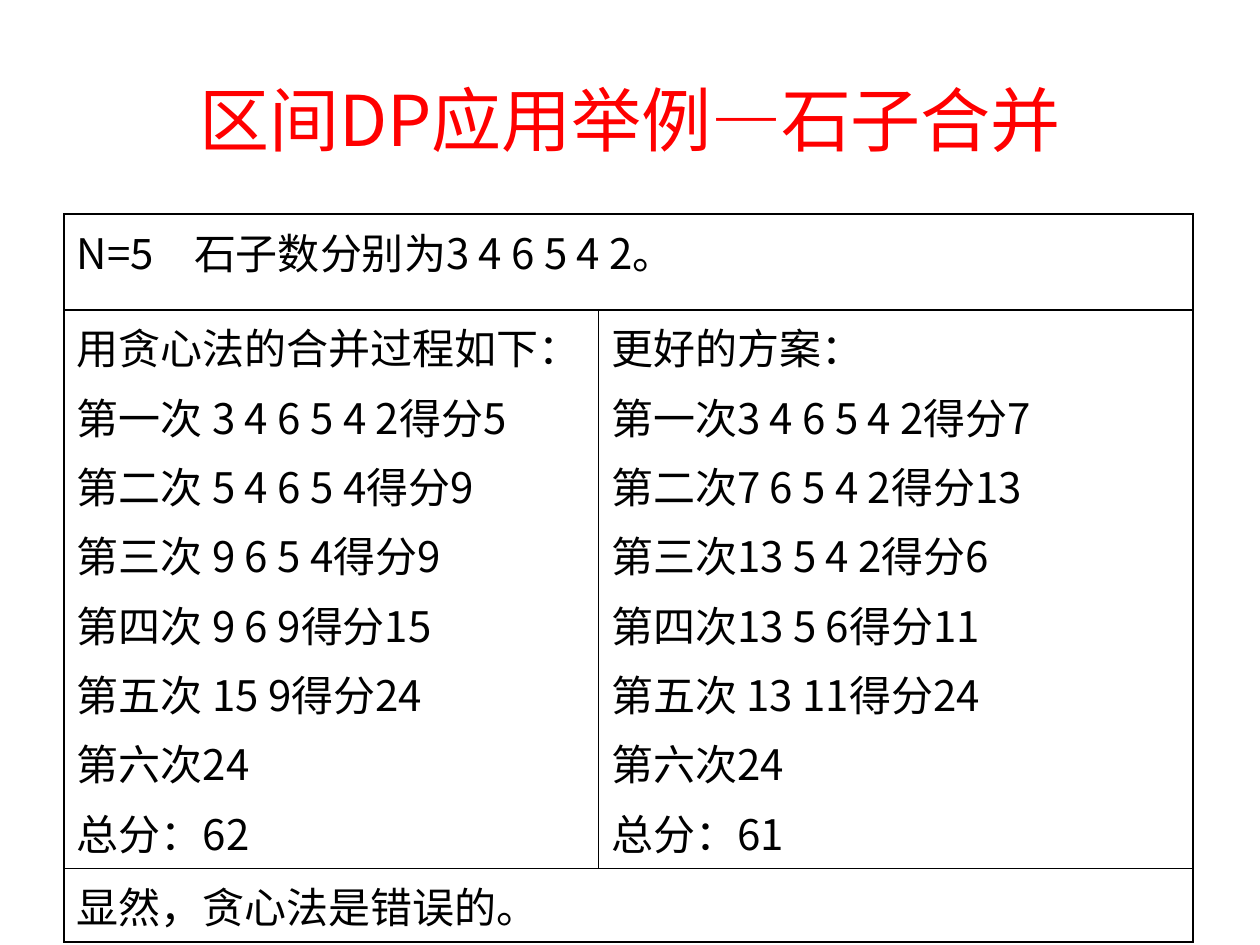
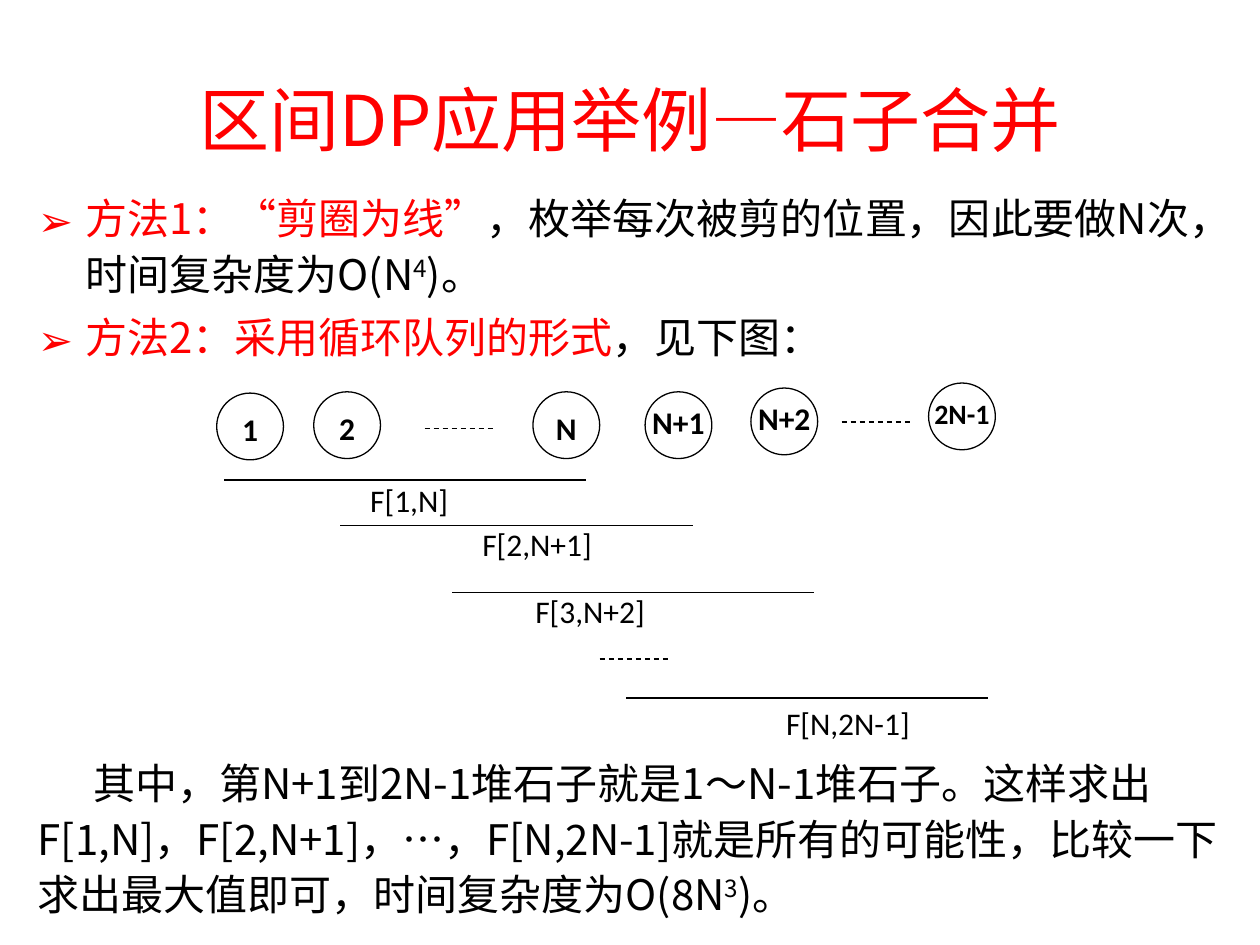
from dataclasses import dataclass

from lxml.etree import SubElement
from pptx import Presentation
from pptx.dml.color import RGBColor
from pptx.enum.dml import MSO_LINE
from pptx.enum.shapes import MSO_CONNECTOR, MSO_SHAPE
from pptx.enum.text import MSO_ANCHOR as ANCHOR, MSO_AUTO_SIZE, PP_ALIGN as ALIGN
from pptx.oxml.ns import qn
from pptx.util import Pt

SCALE = 9144
HEADING = "区间DP应用举例—石子合并"
PREMISE = "N=5\t石子数分别为3 4 6 5 4 2。"
GREEDY = [
    "用贪心法的合并过程如下：",
    "第一次 3 4 6 5 4 2得分5",
    "第二次 5 4 6 5 4得分9",
    "第三次 9 6 5 4得分9",
    "第四次 9 6 9得分15",
    "第五次 15 9得分24",
    "第六次24",
    "总分：62",
]
BETTER = [
    "更好的方案：",
    "第一次3 4 6 5 4 2得分7",
    "第二次7 6 5 4 2得分13",
    "第三次13 5 4 2得分6",
    "第四次13 5 6得分11",
    "第五次 13 11得分24",
    "第六次24",
    "总分：61",
]
VERDICT = "显然，贪心法是错误的。"


@dataclass(frozen=True)
class Theme:
    """Colours, fonts and type sizes in points."""

    ink: RGBColor = RGBColor(0, 0, 0)
    accent: RGBColor = RGBColor(255, 0, 0)
    paper: RGBColor = RGBColor(255, 255, 255)
    text_face: str = "Noto Sans CJK SC"
    diagram_face: str = "Calibri"
    title: int = 40
    body: int = 24
    label: int = 18
    small_label: int = 16
    gap: float = 4.8
    leading: float = 1.1
    rule: float = 0.75
    border: float = 1


def px(length):
    """Turn whole pixels into EMU."""
    return length * SCALE


class Deck:
    """Holds the theme and the current slide, and draws each element."""

    def __init__(self, theme):
        """Start an empty deck."""
        self.theme = theme
        self.file = Presentation()
        self.file.slide_width, self.file.slide_height = px(1000), px(750)
        self.slide = None

    def style(self, paragraph, size, face=None, colour=None, bold=False):
        """Set the font that all runs of a paragraph share."""
        font = paragraph.font
        font.size, font.bold = Pt(size), bold
        font.name = face or self.theme.text_face
        font.color.rgb = colour or self.theme.ink
        latin = font._element.find(qn("a:latin"))
        east_asian = SubElement(font._element, qn("a:ea"), typeface=font.name)
        latin.addnext(east_asian)

    def place(self, holder, x, y, width, height):
        """Move a placeholder and keep its text at full size."""
        holder.left, holder.top = px(x), px(y)
        holder.width, holder.height = px(width), px(height)
        holder.text_frame.auto_size = MSO_AUTO_SIZE.NONE
        return holder.text_frame

    def start(self, layout, heading):
        """Add a slide with its title."""
        self.slide = self.file.slides.add_slide(self.file.slide_layouts[layout])
        frame = self.place(self.slide.shapes.title, 50, 31, 900, 126)
        frame.text, frame.vertical_anchor = heading, ANCHOR.MIDDLE
        frame.paragraphs[0].alignment = ALIGN.CENTER
        self.style(frame.paragraphs[0], self.theme.title, colour=self.theme.accent)

    def body(self, x, y, width, height, items):
        """Fill the body placeholder from (bullet, gap, runs) items."""
        frame = self.place(self.slide.placeholders[1], x, y, width, height)
        for index, (bullet, gap, runs) in enumerate(items):
            line = frame.add_paragraph() if index else frame.paragraphs[0]
            line.line_spacing = self.theme.leading
            line.space_before = Pt(gap)
            self.mark(line, bullet)
            self.style(line, self.theme.body)
            for words, colour, raised in runs:
                run = line.add_run()
                run.text, run.font.color.rgb = words, colour
                if raised:
                    run.font._element.set("baseline", "30000")

    def mark(self, line, bullet):
        """Give a paragraph a hanging bullet, or a first-line indent."""
        props = line._p.get_or_add_pPr()
        margin, indent = (38, -38) if bullet else (0, 44)
        props.set("marL", str(px(margin)))
        props.set("indent", str(px(indent)))
        if bullet:
            colour = SubElement(props, qn("a:buClr"))
            SubElement(colour, qn("a:srgbClr"), val=str(self.theme.accent))
            SubElement(props, qn("a:buFont"), typeface=self.theme.text_face)
            SubElement(props, qn("a:buChar"), char=bullet)
        else:
            SubElement(props, qn("a:buNone"))

    def grid(self, x, y, widths, heights, rows):
        """Draw a bordered table; a row of one entry spans every column."""
        table = self.slide.shapes.add_table(
            len(heights), len(widths), px(x), px(y), px(sum(widths)), px(sum(heights))
        ).table
        table.first_row = table.horz_banding = False
        for column, width in zip(table.columns, widths):
            column.width = px(width)
        for index, (height, entries) in enumerate(zip(heights, rows)):
            table.rows[index].height = px(height)
            if len(entries) < len(widths):
                table.cell(index, 0).merge(table.cell(index, len(widths) - 1))
            for column, lines in enumerate(entries):
                self.fill_cell(table.cell(index, column), lines)
        for cell in table.iter_cells():
            self.frame_cell(cell)

    def fill_cell(self, cell, lines):
        """Write the lines of one cell, with a stop for any tab."""
        cell.text = "\n".join(lines)
        for index, line in enumerate(cell.text_frame.paragraphs):
            line.space_before = Pt(self.theme.gap if index else 0)
            if "\t" in line.text:
                stops = SubElement(line._p.get_or_add_pPr(), qn("a:tabLst"))
                SubElement(stops, qn("a:tab"), pos=str(px(93)), algn="l")
            self.style(line, self.theme.body)

    def frame_cell(self, cell):
        """Clear the fill of a cell and border all its sides."""
        cell.fill.background()
        props = cell._tc.get_or_add_tcPr()
        for index, side in enumerate("LRTB"):
            border = SubElement(props, qn(f"a:ln{side}"), w=str(Pt(self.theme.border)))
            fill = SubElement(border, qn("a:solidFill"))
            SubElement(fill, qn("a:srgbClr"), val=str(self.theme.ink))
            props.insert(index, border)

    def pile(self, x, y, words, size):
        """Draw a circle with a bold label, a long one set slightly higher."""
        circle = self.slide.shapes.add_shape(
            MSO_SHAPE.OVAL, px(x), px(y), px(53), px(53)
        )
        circle.shadow.inherit = False
        circle.fill.solid()
        circle.fill.fore_color.rgb = self.theme.paper
        circle.line.color.rgb = self.theme.ink
        circle.line.width = Pt(self.theme.rule)
        frame = circle.text_frame
        frame.text, frame.word_wrap = words, False
        frame.vertical_anchor = ANCHOR.MIDDLE
        frame.margin_left = frame.margin_right = 0
        top, bottom = (4, 0) if len(words) == 1 else (0, 5)
        frame.margin_top, frame.margin_bottom = px(top), px(bottom)
        frame.paragraphs[0].alignment = ALIGN.CENTER
        self.style(frame.paragraphs[0], size, self.theme.diagram_face, bold=True)

    def rule(self, x, y, length, dashed=False):
        """Draw a level line."""
        line = self.slide.shapes.add_connector(
            MSO_CONNECTOR.STRAIGHT, px(x), px(y), px(x + length), px(y)
        )
        line.line.color.rgb = self.theme.ink
        line.line.width = Pt(self.theme.rule)
        if dashed:
            line.line.dash_style = MSO_LINE.DASH
        SubElement(line._element.spPr, qn("a:effectLst"))

    def label(self, x, y, words):
        """Write a diagram label."""
        frame = self.slide.shapes.add_textbox(px(x), px(y), px(124), px(40)).text_frame
        frame.text, frame.word_wrap = words, True
        self.style(frame.paragraphs[0], self.theme.label, self.theme.diagram_face)


def greedy_slide(deck):
    """Compare the greedy merge with a better one."""
    deck.start(5, HEADING)
    rows = [[[PREMISE]], [GREEDY, BETTER], [[VERDICT]]]
    deck.grid(51, 170, [424, 472], [76, 421, 51], rows)


def methods_slide(deck):
    """Show the two ways to handle the circle of piles."""
    theme = deck.theme
    ink, accent = theme.ink, theme.accent
    deck.start(1, HEADING)
    cutting = [
        ("方法1：“剪圈为线”", accent, False),
        ("，枚举每次被剪的位置，因此要做N次，时间复杂度为O(N", ink, False),
        ("4", ink, True),
        (")。", ink, False),
    ]
    queue = [
        ("方法2：采用循环队列的形式", accent, False),
        ("，见下图：", ink, False),
    ]
    summary = [
        (
            "其中，第N+1到2N-1堆石子就是1～N-1堆石子。这样求出F[1,N]，F[2,N+1]，…，"
            "F[N,2N-1]就是所有的可能性，比较一下求出最大值即可，时间复杂度为O(8N",
            ink,
            False,
        ),
        ("3", ink, True),
        (")。", ink, False),
    ]
    items = [("➢", 0, cutting), ("➢", theme.gap, queue), (None, 223, summary)]
    deck.body(20, 144, 961, 609, items)

    piles = [
        (172, 312, "1"),
        (249, 311, "2"),
        (423, 311, "N"),
        (512, 311, "N+1"),
        (596, 308, "N+2"),
        (737, 304, "2N-1"),
    ]
    for x, y, words in piles:
        deck.pile(x, y, words, theme.small_label if len(words) > 3 else theme.label)
    for x, y in [(337, 340), (668, 335), (476, 523)]:
        deck.rule(x, y, 54, dashed=True)
    intervals = [
        (178, 381, 287, 284, 377, "F[1,N]"),
        (270, 417, 280, 373, 412, "F[2,N+1]"),
        (359, 470, 287, 415, 465, "F[3,N+2]"),
        (497, 554, 287, 614, 554, "F[N,2N-1]"),
    ]
    for x, y, length, label_x, label_y, words in intervals:
        deck.rule(x, y, length)
        deck.label(label_x, label_y, words)


def main():
    """Build and save the deck."""
    deck = Deck(Theme())
    greedy_slide(deck)
    methods_slide(deck)
    deck.file.save("out.pptx")


if __name__ == "__main__":
    main()
